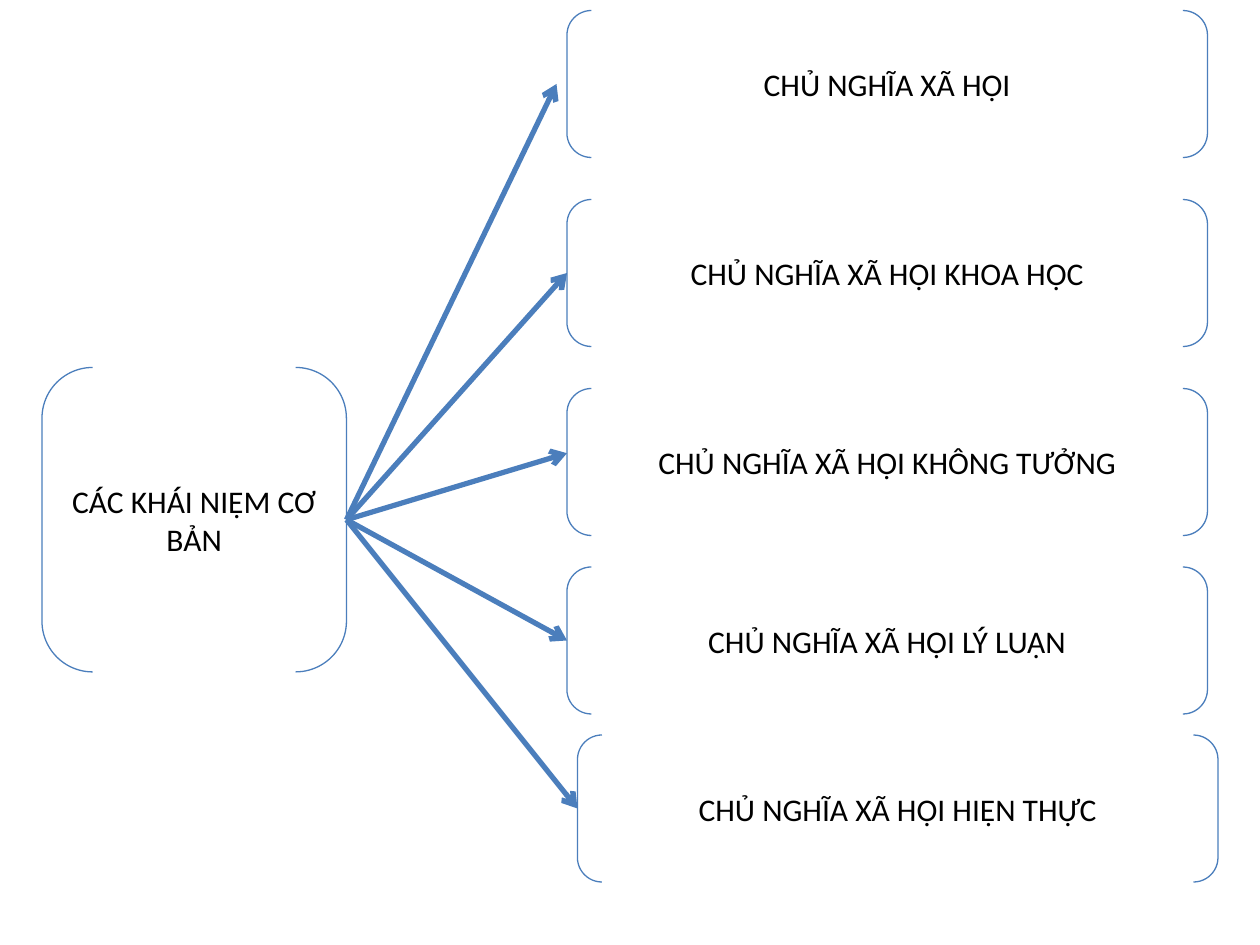
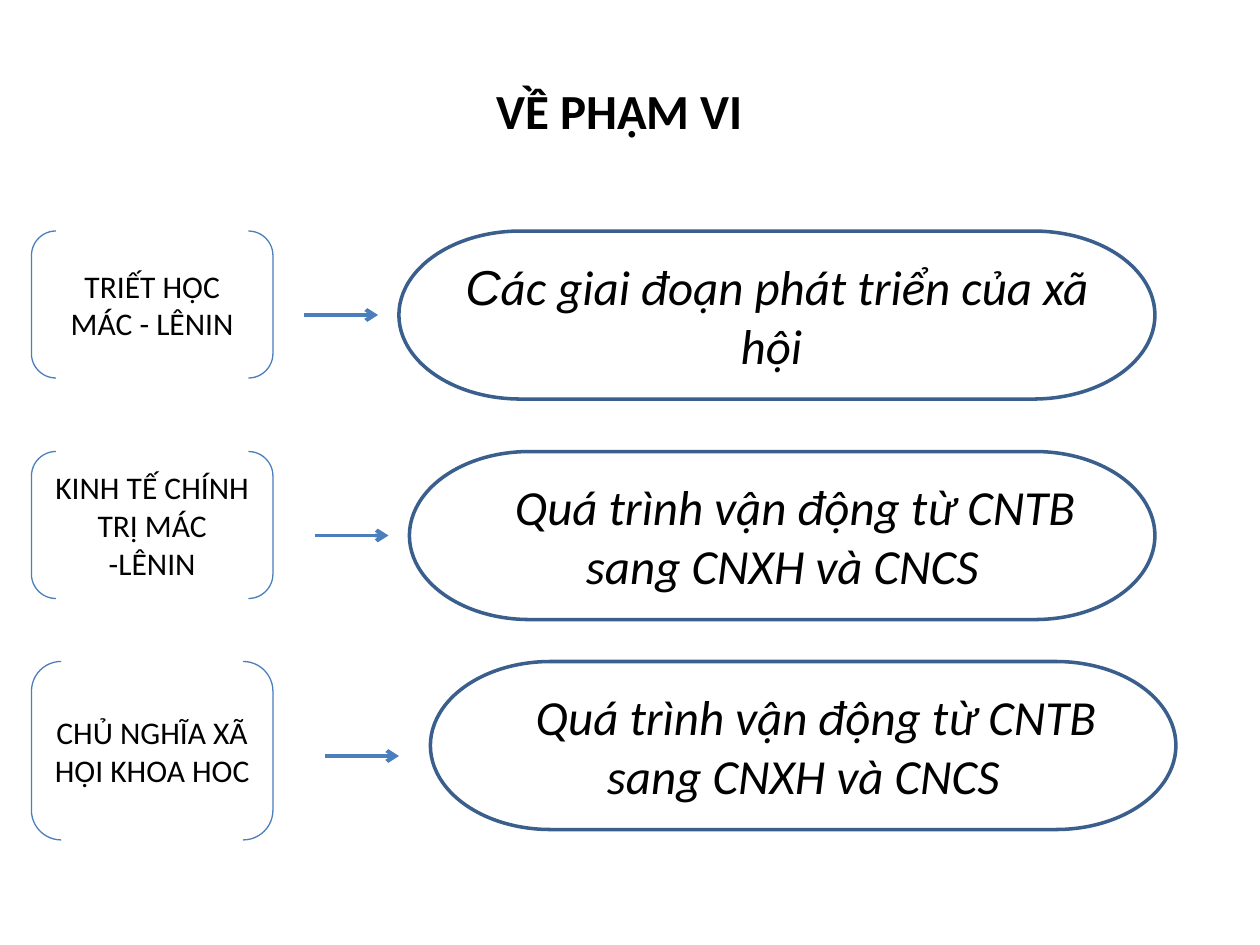
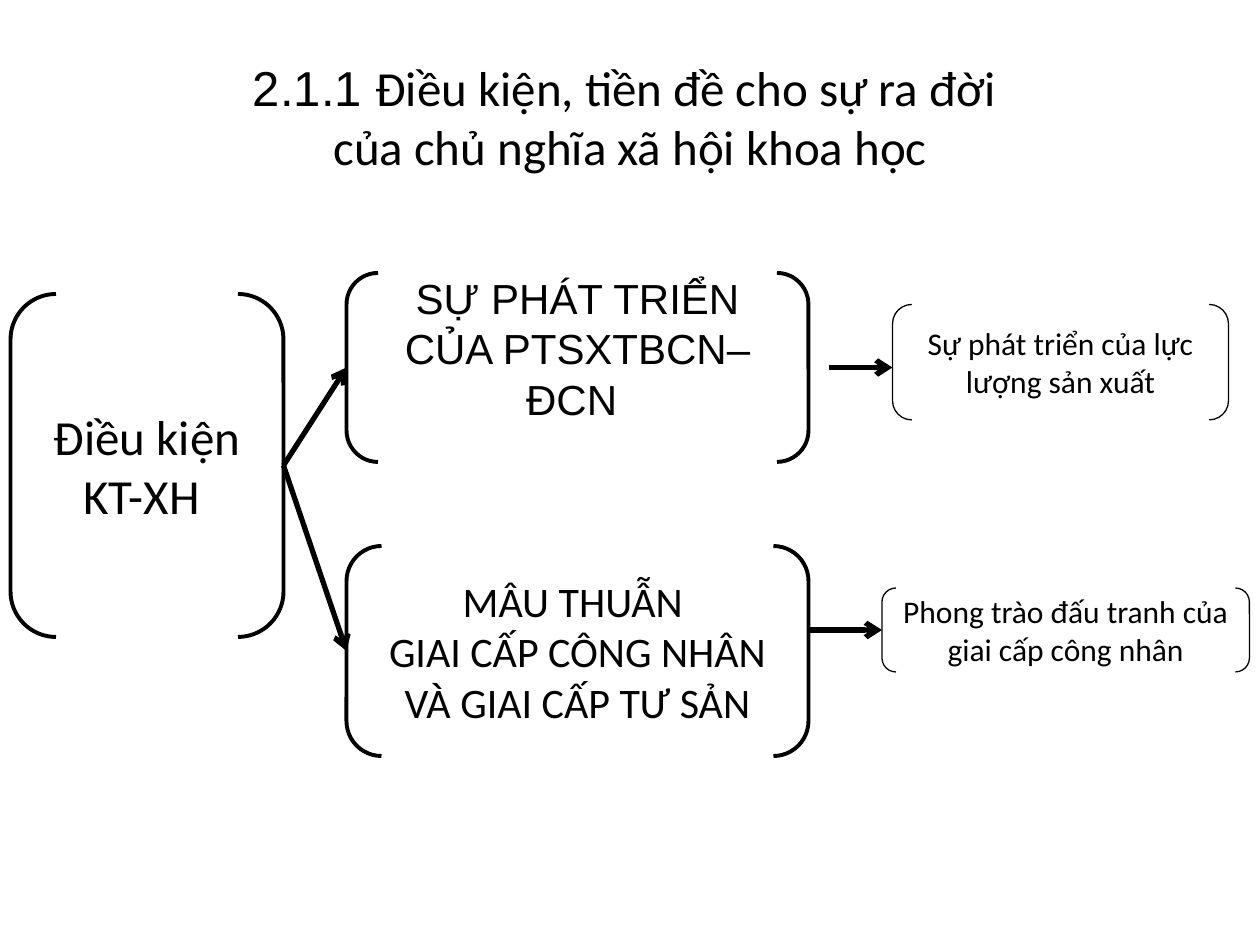
import lxml.etree
import pptx
import pptx.dml.color
import pptx.enum.shapes
import pptx.enum.text
import pptx.oxml.ns
import pptx.util

Pt = pptx.util.Pt
RGBColor = pptx.dml.color.RGBColor
SHAPES = pptx.enum.shapes.MSO_SHAPE

BLACK = RGBColor(0x00, 0x00, 0x00)
BLUE = RGBColor(0x4B, 0x7E, 0xBC)
DARK_BLUE = RGBColor(0x3A, 0x5F, 0x8C)
TITLE_ONLY, BLANK = 5, 6


def write_text(frame, text, size=18, font="Calibri", bold=False, italic=False,
               lead="", lead_font="Arial", first_indent=0, bottom=3.6):
    frame.word_wrap = True
    frame.vertical_anchor = pptx.enum.text.MSO_ANCHOR.MIDDLE
    frame.margin_left = frame.margin_right = Pt(7.2)
    frame.margin_top, frame.margin_bottom = Pt(3.6), Pt(bottom)
    for index, line in enumerate(text.split("\n")):
        paragraph = frame.add_paragraph() if index else frame.paragraphs[0]
        paragraph.alignment = pptx.enum.text.PP_ALIGN.CENTER
        if first_indent:
            paragraph._p.get_or_add_pPr().set("indent", str(Pt(first_indent)))
        pieces = [(line, font)]
        if lead and index == 0:
            pieces.insert(0, (lead, lead_font))
        for words, name in pieces:
            run = paragraph.add_run()
            run.text = words
            run.font.name = name
            run.font.size = Pt(size)
            run.font.bold = bold
            run.font.italic = italic
            run.font.color.rgb = BLACK


class Deck:
    def __init__(self):
        self.presentation = pptx.Presentation()
        self.presentation.slide_width = Pt(720)
        self.presentation.slide_height = Pt(540)
        self.slide = None
        self.color = BLUE

    def new_slide(self, layout, color):
        layouts = self.presentation.slide_layouts
        self.slide = self.presentation.slides.add_slide(layouts[layout])
        self.color = color

    def title(self, box, text, **text_format):
        title = self.slide.shapes.title
        title.left, title.top, title.width, title.height = map(Pt, box)
        write_text(title.text_frame, text, size=28, **text_format)

    def outline(self, kind, box, text, color, weight, **text_format):
        shape = self.slide.shapes.add_shape(kind, *map(Pt, box))
        shape.shadow.inherit = False
        shape.fill.background()
        shape.line.color.rgb = color
        shape.line.width = Pt(weight)
        write_text(shape.text_frame, text, **text_format)

    def bracket(self, box, text, weight=0.75, **text_format):
        self.outline(SHAPES.DOUBLE_BRACKET, box, text, self.color, weight, **text_format)

    def pill(self, box, text, **text_format):
        self.outline(SHAPES.FLOWCHART_TERMINATOR, box, text, DARK_BLUE, 2,
                     size=28, italic=True, **text_format)

    def arrow(self, start, end, weight=3):
        connector = self.slide.shapes.add_connector(
            pptx.enum.shapes.MSO_CONNECTOR.STRAIGHT, *map(Pt, start + end))
        connector.line.color.rgb = self.color
        connector.line.width = Pt(weight)
        properties = connector._element.spPr
        line = properties.find(pptx.oxml.ns.qn("a:ln"))
        lxml.etree.SubElement(line, pptx.oxml.ns.qn("a:tailEnd"), type="arrow")
        lxml.etree.SubElement(properties, pptx.oxml.ns.qn("a:effectLst"))


def add_concepts(deck):
    deck.new_slide(BLANK, BLUE)
    deck.bracket((24, 210, 174, 174), "CÁC KHÁI NIỆM CƠ BẢN")
    concepts = [
        ("CHỦ NGHĨA XÃ HỘI", 324, 6, (318, 48)),
        ("CHỦ NGHĨA XÃ HỘI KHOA HỌC", 324, 114, (324, 156)),
        ("CHỦ NGHĨA XÃ HỘI KHÔNG TƯỞNG", 324, 222, (324, 259)),
        ("CHỦ NGHĨA XÃ HỘI LÝ LUẬN", 324, 324, (324, 366)),
        ("CHỦ NGHĨA XÃ HỘI HIỆN THỰC", 330, 420, (330, 462)),
    ]
    for text, left, top, arrow_end in concepts:
        deck.bracket((left, top, 366, 84), text)
        deck.arrow((198, 297), arrow_end)


def add_scope(deck):
    deck.new_slide(TITLE_ONLY, BLUE)
    deck.title((198, 12, 312, 102), "VỀ PHẠM VI", bold=True)
    transition = "Quá trình vận động từ CNTB sang CNXH và CNCS"
    stages = "ác giai đoạn phát triển của xã hội "
    fields = [
        ("TRIẾT HỌC MÁC - LÊNIN", 132, 84, 228, 432, stages, {"lead": "C"}),
        ("KINH TẾ CHÍNH TRỊ MÁC -LÊNIN", 258, 84, 234, 426, transition, {"first_indent": 14.5}),
        ("CHỦ NGHĨA XÃ HỘI KHOA HOC", 378, 102, 246, 426, transition, {"first_indent": 14.5}),
    ]
    for index, (field, top, height, left, width, scope, text_format) in enumerate(fields):
        deck.bracket((18, top, 138, height), field)
        deck.pill((left, top, width, 96), scope, **text_format)
        arrow_left, arrow_top = 174 + 6 * index, 180 + 126 * index
        deck.arrow((arrow_left, arrow_top), (arrow_left + 42, arrow_top), weight=2.25)


def add_conditions(deck):
    deck.new_slide(TITLE_ONLY, BLACK)
    deck.title((36, 21.6, 648, 90),
               "Điều kiện, tiền đề cho sự ra đời \ncủa chủ nghĩa xã hội khoa học",
               lead="2.1.1 ")
    deck.bracket((6, 168, 156, 196), "Điều kiện KT-XH ", weight=2.25, size=28)
    deck.bracket((198, 156, 264, 108), "SỰ PHÁT TRIỂN CỦA PTSXTBCN– ĐCN ",
                 weight=2.25, size=24, font="Arial", bottom=25.6)
    deck.bracket((198, 312, 264, 120),
                 "MÂU THUẪN \nGIAI CẤP CÔNG NHÂN VÀ GIAI CẤP TƯ SẢN",
                 weight=2.25, size=24)
    deck.bracket((504, 336, 210, 48), "Phong trào đấu tranh của giai cấp công nhân")
    deck.bracket((510, 174, 192, 66), "Sự phát triển của lực lượng sản xuất")
    for start, end in [((162, 266), (198, 210)), ((162, 266), (198, 372)),
                       ((474, 210), (510, 210)), ((462, 360), (504, 360))]:
        deck.arrow(start, end)


def main():
    deck = Deck()
    add_concepts(deck)
    add_scope(deck)
    add_conditions(deck)
    deck.presentation.save("out.pptx")


if __name__ == "__main__":
    main()
